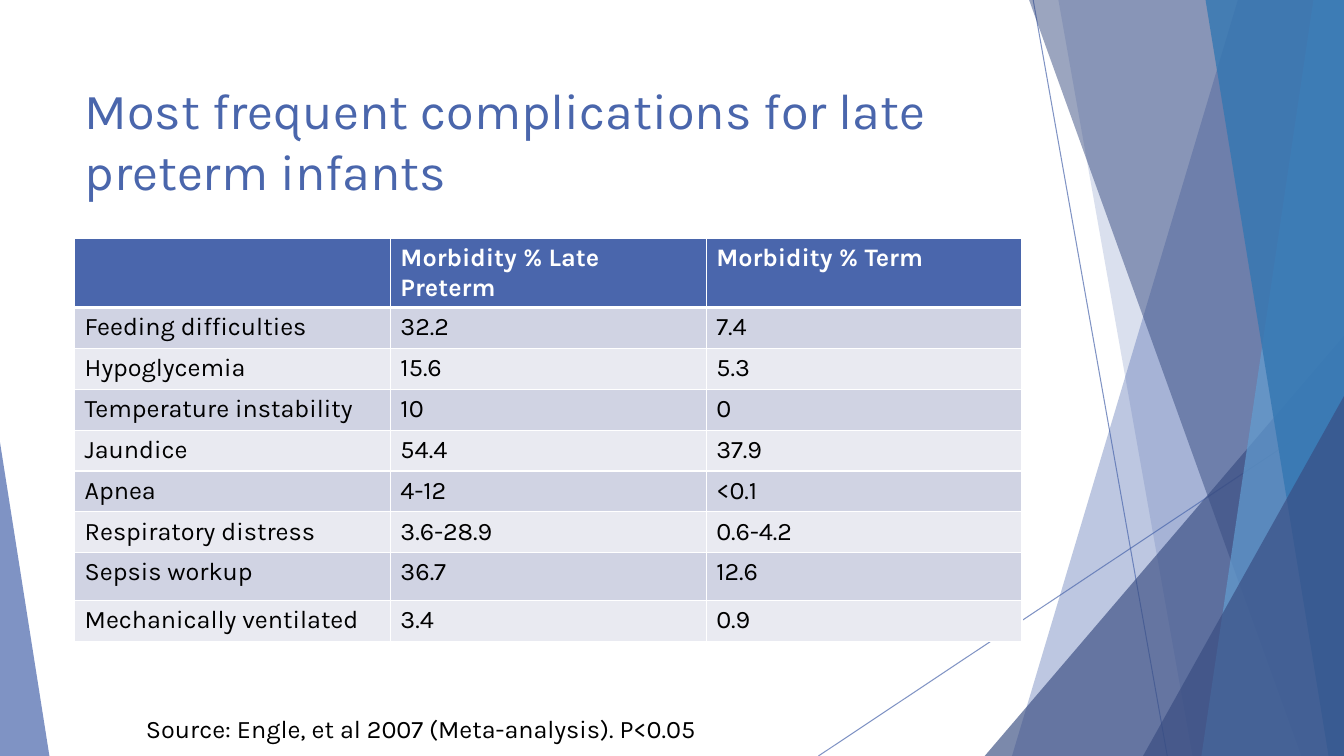
from lxml import etree
from pptx import Presentation
from pptx.dml.color import RGBColor
from pptx.enum import shapes, text
from pptx.oxml import ns
from pptx.util import Pt

WHITE = RGBColor(0xFF, 0xFF, 0xFF)
BLACK = RGBColor(0x00, 0x00, 0x00)
BLUE = RGBColor(0x4A, 0x66, 0xAC)
NAVY = RGBColor(0x38, 0x4C, 0x81)
SKY = RGBColor(0x62, 0x9D, 0xD1)
AZURE = RGBColor(0x34, 0x77, 0xB2)
BAND_DARK = RGBColor(0xD0, 0xD3, 0xE3)
BAND_LIGHT = RGBColor(0xE9, 0xEA, 0xF1)
WIDTH, HEIGHT = 960, 540
FONT = "Karla"


def add_run(paragraph, words, size, colour, bold=False):
    run = paragraph.add_run()
    run.text = words
    run.font.name = FONT
    run.font.size = Pt(size)
    run.font.bold = bold
    run.font.color.rgb = colour


def set_opacity(shape, percent):
    for colour in shape.element.spPr.iter(ns.qn("a:srgbClr")):
        etree.SubElement(colour, ns.qn("a:alpha"), val=str(percent * 1000))


deck = Presentation()
deck.slide_width, deck.slide_height = Pt(WIDTH), Pt(HEIGHT)
slide = deck.slides.add_slide(deck.slide_layouts[5])

# Thin lines behind the facets
for x1, y1, x2, y2 in [(738, 0, 833.8, HEIGHT), (WIDTH, 290.2, 584.6, HEIGHT)]:
    ray = slide.shapes.add_connector(
        shapes.MSO_CONNECTOR.STRAIGHT, Pt(x1), Pt(y1), Pt(x2), Pt(y2))
    ray.line.color.rgb = BLUE
    ray.line.width = Pt(0.75)
    set_opacity(ray, 70)
    etree.SubElement(ray.element.spPr, ns.qn("a:effectLst"))

# Facets: a band has its left edge at the top and at the bottom and runs to the
# right side; a wedge has left, top, width and apex, and stands on the bottom
facets = [
    ("band", (884.2, 722.9), BLUE, 36),
    ("band", (756, 851.8), BLUE, 20),
    ("wedge", (703.4, 239.8, 256.6, 1), NAVY, 66),
    ("band", (735.1, 929.5), NAVY, 50),
    ("band", (938.2, 858.2), SKY, 70),
    ("band", (861.1, 949), AZURE, 80),
    ("wedge", (816.5, 283, 143.5, 1), NAVY, 66),
    ("wedge", (0, 316, 35.3, 0), BLUE, 70),
]
for kind, geometry, colour, opacity in facets:
    if kind == "band":
        top_x, bottom_x = geometry
        outline = slide.shapes.build_freeform(Pt(top_x), 0)
        outline.add_line_segments([
            (Pt(WIDTH), 0), (Pt(WIDTH), Pt(HEIGHT)), (Pt(bottom_x), Pt(HEIGHT))])
        facet = outline.convert_to_shape()
    else:
        left, top, width, apex = geometry
        facet = slide.shapes.add_shape(
            shapes.MSO_SHAPE.ISOSCELES_TRIANGLE,
            Pt(left), Pt(top), Pt(width), Pt(HEIGHT - top))
        facet.adjustments[0] = apex
    facet.shadow.inherit = False
    facet.fill.solid()
    facet.fill.fore_color.rgb = colour
    facet.line.fill.background()
    set_opacity(facet, opacity)

# Title, brought in front of the facets
title = slide.shapes.title
slide.shapes.element.append(title.element)
title.left, title.top, title.width, title.height = Pt(53.3), Pt(48.2), Pt(676.8), Pt(103.7)
title.text_frame.word_wrap = True
title.text_frame.auto_size = text.MSO_AUTO_SIZE.NONE
title.text_frame.vertical_anchor = text.MSO_ANCHOR.MIDDLE
title.text_frame.paragraphs[0].alignment = text.PP_ALIGN.LEFT
add_run(title.text_frame.paragraphs[0],
        "Most frequent complications for late preterm infants", 36, BLUE)

# Morbidity table
morbidity = [
    ("", "Morbidity % Late Preterm", "Morbidity % Term"),
    ("Feeding difficulties", "32.2", "7.4"),
    ("Hypoglycemia", "15.6", "5.3"),
    ("Temperature instability", "10", "0"),
    ("Jaundice", "54.4", "37.9"),
    ("Apnea", "4-12", "<0.1"),
    ("Respiratory distress", "3.6-28.9", "0.6-4.2"),
    ("Sepsis workup", "36.7", "12.6"),
    ("Mechanically ventilated", "3.4", "0.9"),
]
row_heights = [48.4] + [29.2] * 6 + [34, 29.2]
table = slide.shapes.add_table(
    len(morbidity), 3, Pt(53.3), Pt(170.2), Pt(676.8), Pt(sum(row_heights))).table
for r, (entries, height) in enumerate(zip(morbidity, row_heights)):
    table.rows[r].height = Pt(height)
    header = r == 0
    band = BLUE if header else BAND_DARK if r % 2 else BAND_LIGHT
    for c, entry in enumerate(entries):
        cell = table.cell(r, c)
        borders = {"lnL": 1, "lnR": 1, "lnT": 3 if r == 1 else 1, "lnB": 3 if header else 1}
        for side, weight in borders.items():
            border = etree.SubElement(
                cell._tc.get_or_add_tcPr(), ns.qn("a:" + side), w=str(Pt(weight)))
            paint = etree.SubElement(border, ns.qn("a:solidFill"))
            etree.SubElement(paint, ns.qn("a:srgbClr"), val=str(WHITE))
        cell.fill.solid()
        cell.fill.fore_color.rgb = band
        if entry:
            add_run(cell.text_frame.paragraphs[0], entry, 18,
                    WHITE if header else BLACK, header)

# Source note
source = slide.shapes.add_textbox(Pt(97.2), Pt(506.2), Pt(681.1), Pt(28.8))
source.text_frame.word_wrap = True
source.text_frame.auto_size = text.MSO_AUTO_SIZE.SHAPE_TO_FIT_TEXT
add_run(source.text_frame.paragraphs[0],
        "Source: Engle, et al 2007 (Meta-analysis). P<0.05", 18, BLACK)

deck.save("out.pptx")
